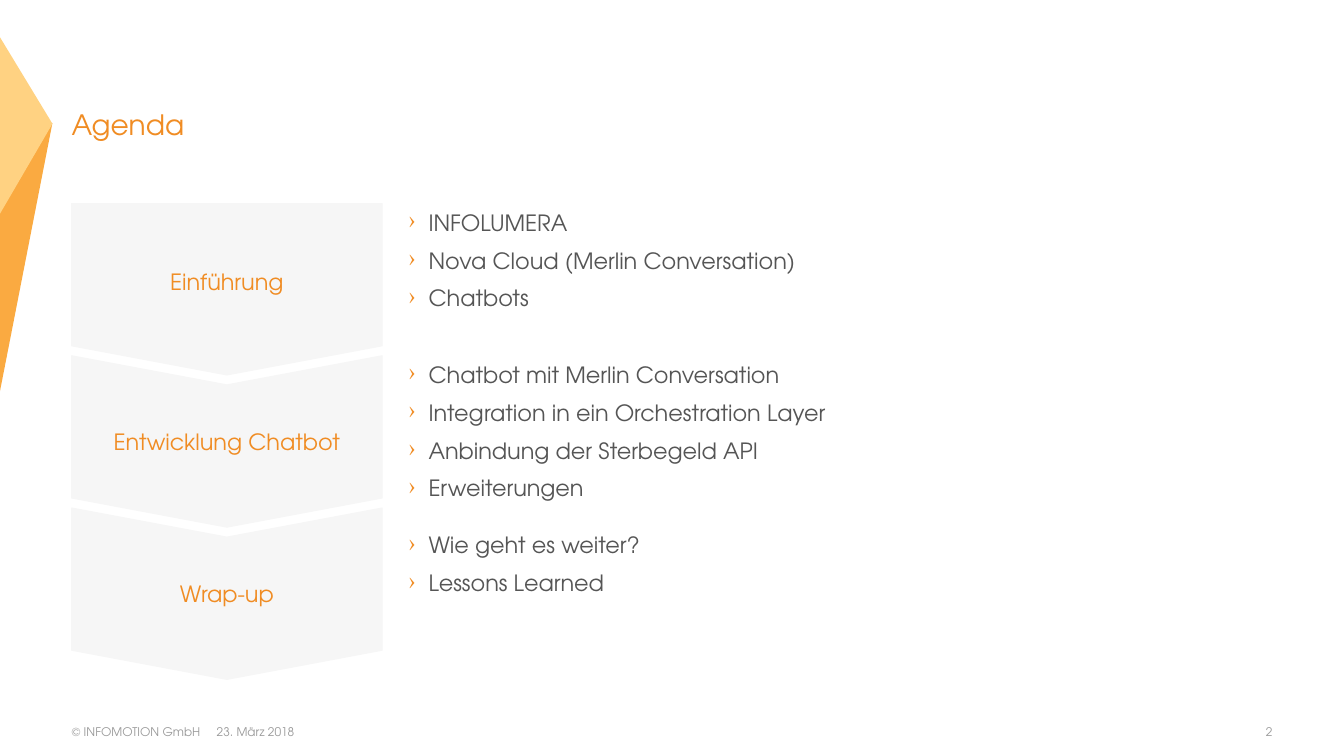
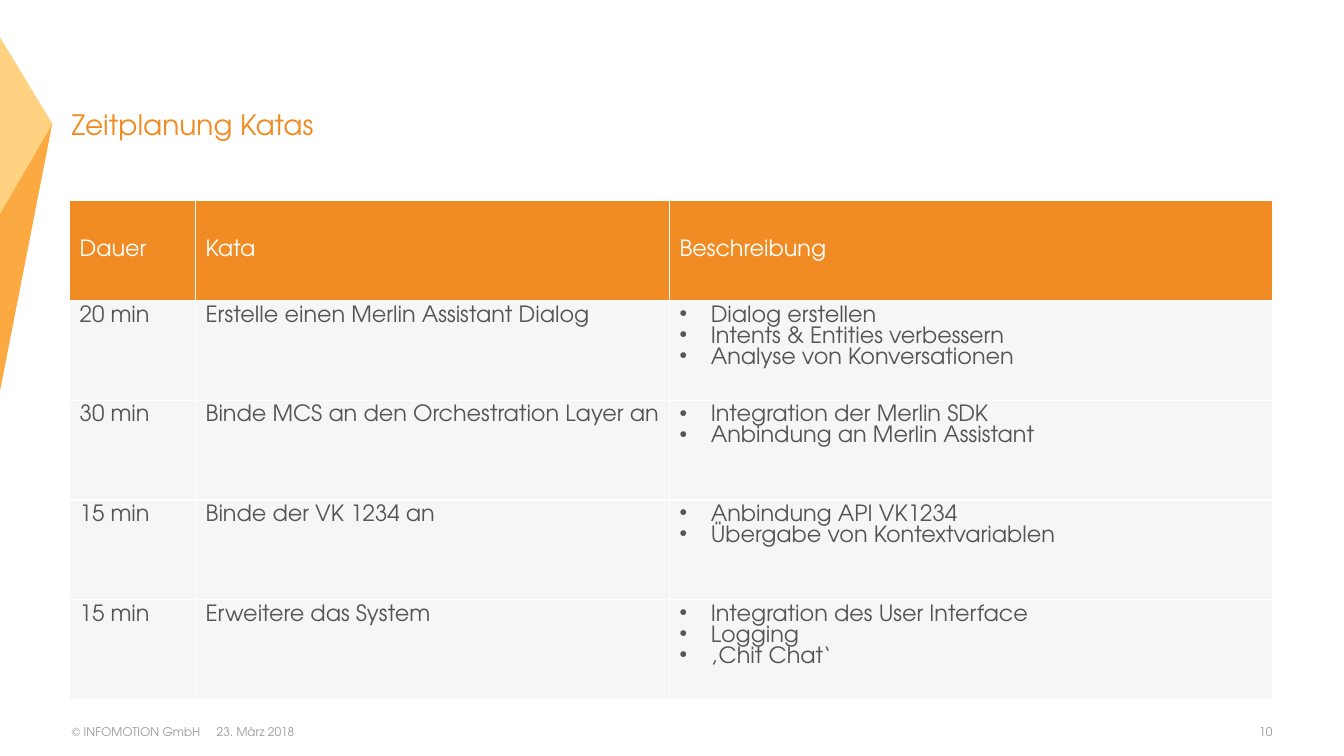
from dataclasses import dataclass

from lxml import etree
from pptx import Presentation
from pptx import util as u
from pptx.dml.color import RGBColor
from pptx.enum import shapes, text
from pptx.oxml import ns

PX = 9144


@dataclass(frozen=True)
class Theme:
    """Hold the colours, font and type sizes of the deck."""
    orange: str = "F08C23"
    amber: str = "FAAA41"
    sand: str = "FFD282"
    panel: str = "F6F6F6"
    white: str = "FFFFFF"
    body: str = "555555"
    muted: str = "999999"
    font: str = "TeX Gyre Adventor"
    title_size: float = 20
    body_size: float = 16
    footer_size: float = 8.5


THEME = Theme()
LEFT = 71
RIGHT = 1262
ARROW_TOP = 202
ARROW_PITCH = 151

AGENDA = [
    ("Einführung", 202,
     ["INFOLUMERA", "Nova Cloud (Merlin Conversation)", "Chatbots"]),
    ("Entwicklung Chatbot", 353,
     ["Chatbot mit Merlin Conversation",
      "Integration in ein Orchestration Layer",
      "Anbindung der Sterbegeld API", "Erweiterungen"]),
    ("Wrap-up", 522, ["Wie geht es weiter?", "Lessons Learned"]),
]

COLUMNS = [("Dauer", 125), ("Kata", 470), ("Beschreibung", 598)]
KATAS = [
    ("20 min", "Erstelle einen Merlin Assistant Dialog",
     ["Dialog erstellen", "Intents & Entities verbessern",
      "Analyse von Konversationen"]),
    ("30 min", "Binde MCS an den Orchestration Layer an",
     ["Integration der Merlin SDK", "Anbindung an Merlin Assistant"]),
    ("15 min", "Binde der VK 1234 an",
     ["Anbindung API VK1234", "Übergabe von Kontextvariablen"]),
    ("15 min", "Erweitere das System",
     ["Integration des User Interface", "Logging", "‚Chit Chat‘"]),
]


def px(*lengths):
    """Turn px lengths into EMU."""
    return [u.Emu(int(length * PX)) for length in lengths]


def rgb(colour):
    """Turn a hex string into a colour."""
    return RGBColor.from_string(colour)


def add_bullet(para, mark, indent, colour):
    """Give a paragraph a hanging bullet."""
    props = para._p.get_or_add_pPr()
    props.set("marL", str(indent * PX))
    props.set("indent", str(-indent * PX))
    paint = etree.SubElement(props, ns.qn("a:buClr"))
    etree.SubElement(paint, ns.qn("a:srgbClr"), val=colour)
    etree.SubElement(props, ns.qn("a:buChar"), char=mark)


def write(frame, lines, size, colour, align=text.PP_ALIGN.LEFT,
          bullet=None, spacing=None, after=None):
    """Write lines of text as paragraphs into a text frame."""
    for index, line in enumerate(lines):
        para = frame.add_paragraph() if index else frame.paragraphs[0]
        if bullet:
            add_bullet(para, *bullet)
        para.alignment = align
        if spacing:
            para.line_spacing = spacing
        if after:
            para.space_after = u.Pt(after)
        span = para.add_run()
        span.text = line
        span.font.name = THEME.font
        span.font.size = u.Pt(size)
        span.font.color.rgb = rgb(colour)


def add_text(page, at, lines, size, colour, anchor=text.MSO_ANCHOR.TOP, **style):
    """Add a wrapping text box without insets."""
    frame = page.shapes.add_textbox(*px(*at)).text_frame
    frame.word_wrap = True
    frame.vertical_anchor = anchor
    frame.margin_left = frame.margin_right = 0
    frame.margin_top = frame.margin_bottom = 0
    write(frame, lines, size, colour, **style)


def paint_shape(shape, colour):
    """Give a shape a plain fill without line or shadow."""
    shape.shadow.inherit = False
    shape.fill.solid()
    shape.fill.fore_color.rgb = rgb(colour)
    shape.line.fill.background()


def add_turned(page, kind, at, adjustment, colour):
    """Add a preset turned clockwise by 90 degrees that covers the given area."""
    left, top, width, height = at
    shift = (width - height) / 2
    shape = page.shapes.add_shape(
        kind, *px(left + shift, top - shift, height, width))
    shape.rotation = 90
    shape.adjustments[0] = adjustment
    paint_shape(shape, colour)
    return shape


def add_wing(page):
    """Add the two-part ornament at the left edge."""
    outline = page.shapes.build_freeform(0, 388, scale=PX)
    outline.add_line_segments([(0, 211), (52, 122)], close=True)
    paint_shape(outline.convert_to_shape(), THEME.amber)
    add_turned(page, shapes.MSO_SHAPE.ISOSCELES_TRIANGLE,
               (0, 37, 52, 175), 0.49, THEME.sand)


def add_page(deck, title, number):
    """Add a slide with ornament, title and footer."""
    page = deck.slides.add_slide(deck.slide_layouts[6])
    add_wing(page)
    add_text(page, (LEFT, 107, RIGHT - LEFT, 67), [title],
             THEME.title_size, THEME.orange)
    footers = [
        (LEFT, 140, "© INFOMOTION GmbH", text.PP_ALIGN.LEFT),
        (215, 157, "23. März 2018", text.PP_ALIGN.LEFT),
        (RIGHT - 73, 73, str(number), text.PP_ALIGN.RIGHT),
    ]
    for left, width, label, align in footers:
        add_text(page, (left, 720, width, 12), [label], THEME.footer_size,
                 THEME.muted, text.MSO_ANCHOR.MIDDLE, align=align)
    return page


def add_step(page, index, label):
    """Add one downward arrow of the agenda."""
    kind = shapes.MSO_SHAPE.CHEVRON if index else shapes.MSO_SHAPE.PENTAGON
    at = (LEFT, ARROW_TOP + index * ARROW_PITCH, 308, 170)
    arrow = add_turned(page, kind, at, 0.17, THEME.panel)
    arrow.line.color.rgb = rgb(THEME.panel)
    arrow.line.width = u.Pt(0.75)
    frame = arrow.text_frame
    frame.word_wrap = True
    frame.vertical_anchor = text.MSO_ANCHOR.MIDDLE
    frame._txBody.bodyPr.set("vert", "vert270")
    write(frame, [label], THEME.body_size, THEME.orange,
          text.PP_ALIGN.CENTER)


def add_agenda(deck):
    """Add the agenda slide."""
    page = add_page(deck, "Agenda", 2)
    for index, (label, top, points) in enumerate(AGENDA):
        add_step(page, index, label)
        add_text(page, (405, top, 858, 143), points, THEME.body_size,
                 THEME.body, bullet=("›", 20, THEME.orange),
                 spacing=1.2, after=4)


def fill_cell(cell, lines, fill, colour, bullet=None):
    """Fill a table cell and give it white borders."""
    props = cell._tc.get_or_add_tcPr()
    for side in ("lnL", "lnR", "lnT", "lnB"):
        edge = etree.SubElement(props, ns.qn(f"a:{side}"), w=str(u.Pt(1)))
        paint = etree.SubElement(edge, ns.qn("a:solidFill"))
        etree.SubElement(paint, ns.qn("a:srgbClr"), val=THEME.white)
    cell.fill.solid()
    cell.fill.fore_color.rgb = rgb(fill)
    write(cell.text_frame, lines, THEME.body_size, colour,
          bullet=bullet, spacing=u.Pt(15))


def add_schedule(deck):
    """Add the slide with the kata table."""
    page = add_page(deck, "Zeitplanung Katas", 10)
    widths = [width for _, width in COLUMNS]
    rows = len(KATAS) + 1
    table = page.shapes.add_table(
        rows, len(COLUMNS), *px(69, 199, sum(widths), rows * 99)).table
    table.first_row = table.horz_banding = False
    for column, (heading, width) in enumerate(COLUMNS):
        table.columns[column].width = px(width)[0]
        cell = table.cell(0, column)
        fill_cell(cell, [heading], THEME.orange, THEME.white)
        cell.vertical_anchor = text.MSO_ANCHOR.MIDDLE
    for row, (duration, kata, points) in enumerate(KATAS, 1):
        for column, lines in enumerate(([duration], [kata], points)):
            bullet = ("•", 31, THEME.body) if lines is points else None
            fill_cell(table.cell(row, column), lines, THEME.panel,
                      THEME.body, bullet)


def main():
    """Build and save the deck."""
    deck = Presentation()
    deck.slide_width, deck.slide_height = px(1333, 750)
    add_agenda(deck)
    add_schedule(deck)
    deck.save("out.pptx")


if __name__ == "__main__":
    main()
